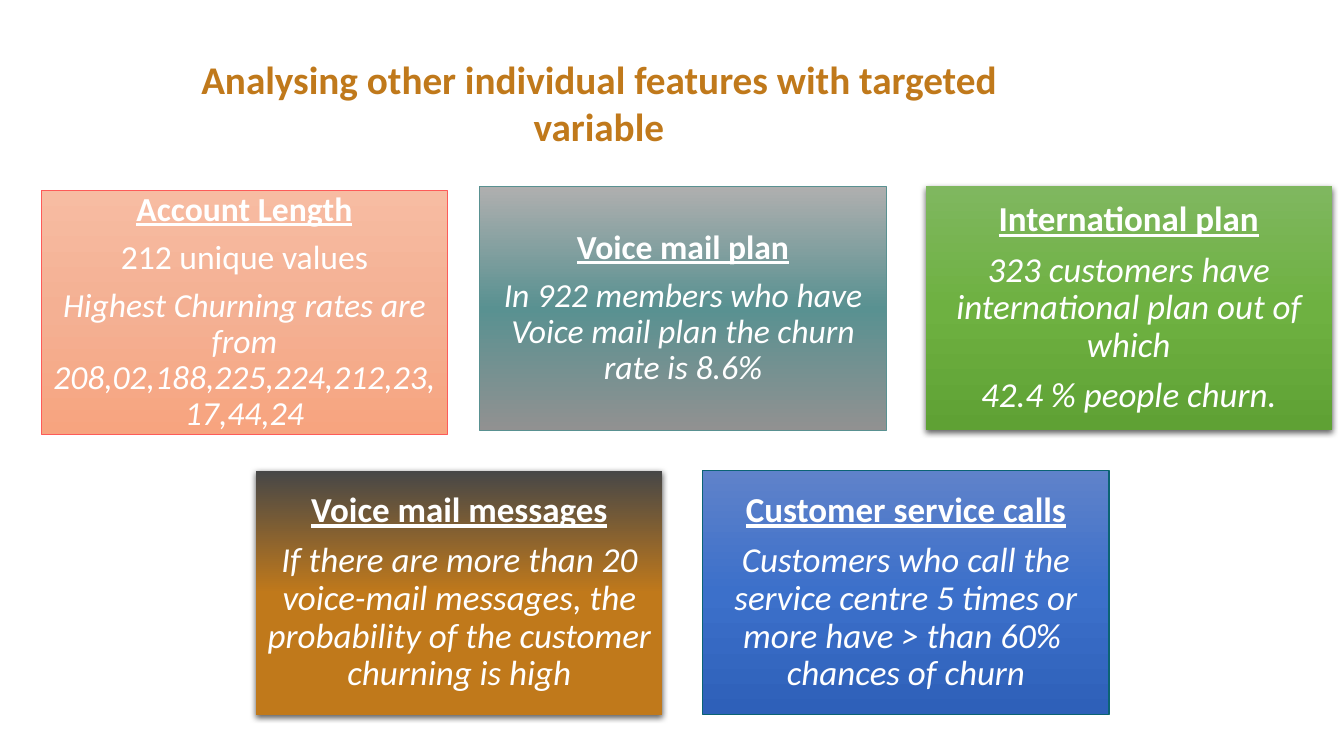
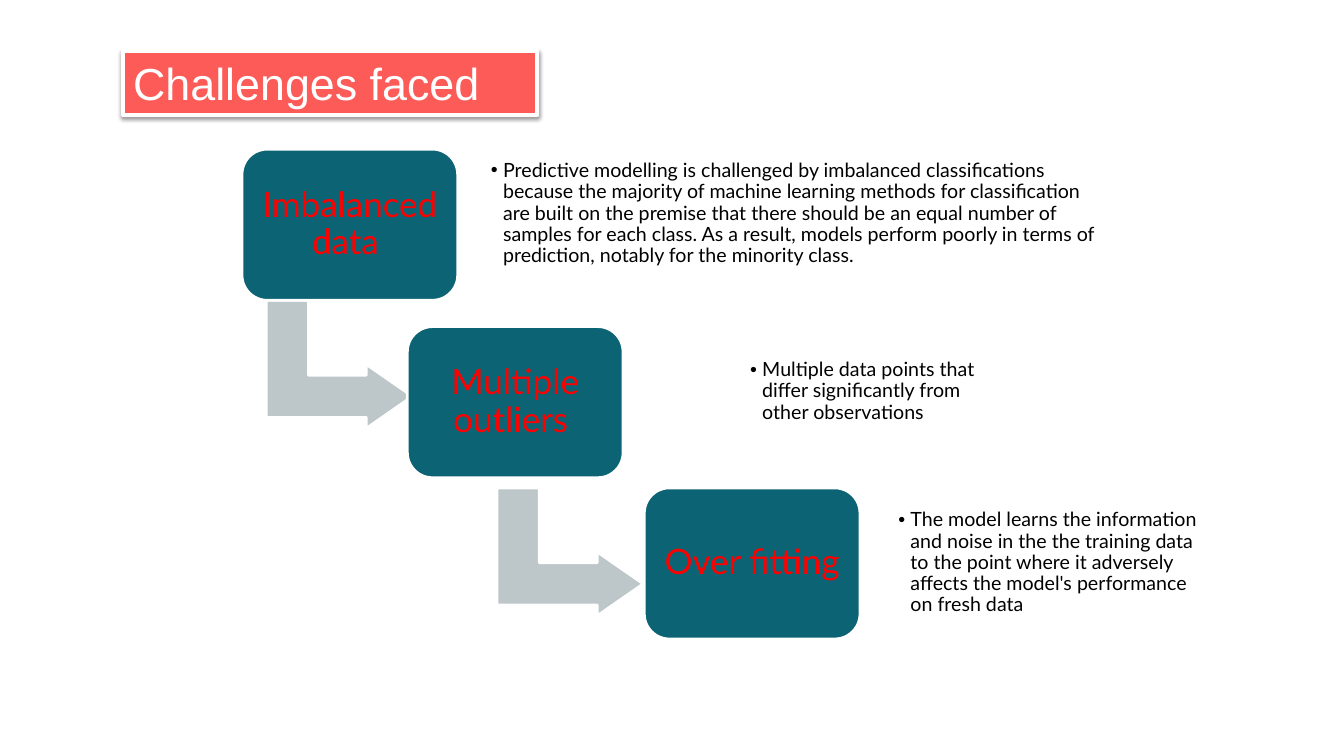
from lxml.etree import SubElement
from pptx import Presentation
from pptx.dml.color import RGBColor
from pptx.enum.shapes import MSO_SHAPE
from pptx.enum.text import MSO_ANCHOR, MSO_AUTO_SIZE, PP_ALIGN
from pptx.oxml.ns import qn
from pptx.util import Pt

PX = 9144  # 100 px to the inch
TITLE_ONLY = 5
COLORS = {
    "white": "FFFFFF", "black": "000000", "red": "FF0000", "coral": "FD5B58",
    "ochre": "C0791B", "teal": "0B6374", "sage": "599191", "grey": "BDC6C9",
}
CARD_SIZE = (403, 242)
STEP_SIZE = (214, 150)
ARROW_SIZE = (127, 145)

# left, top, gradient, outline (None gives a shadow), text size, heading,
# body paragraphs as (text, italic)
CARDS = [
    (41, 189, ("F7BCA2", "F4B093", "F7A47F"), "coral", 24, "Account Length",
     [("212 unique values", False),
      ("Highest Churning rates are from 208,02,188,225,224,212,23,17,44,24", True)]),
    (476, 185, ("AFAFAF", "599191", "919191"), "sage", 24, "Voice mail plan",
     [("In 922 members who have Voice mail plan the churn rate is 8.6%", True)]),
    (918, 185, ("7FB75F", "6EB141", "5FA134"), None, 25, "International plan",
     [("323 customers have international plan out of which", True),
      ("42.4 % people churn.", True)]),
    (254, 467, ("474747", "C0791B", "C0791B"), None, 25, "Voice mail messages",
     [("If there are more than 20 voice-mail messages, the probability of the "
       "customer churning is high", True)]),
    (697, 467, ("5F82CA", "3C70CA", "2E60B9"), "teal", 25, "Customer service calls",
     [("Customers who call the service centre 5 times or more have > than 60%  "
       "chances of churn", True)]),
]

# step position, step name, explanation box, explanation
CHALLENGES = [
    ((240, 148), "Imbalanced data ", (481, 104, 617, 216),
     "Predictive modelling is challenged by imbalanced classifications because the "
     "majority of machine learning methods for classification are built on the premise "
     "that there should be an equal number of samples for each class. As a result, "
     "models perform poorly in terms of prediction, notably for the minority class."),
    ((404, 324), "Multiple outliers ", (738, 328, 242, 121),
     "Multiple data points that differ significantly from other observations"),
    ((639, 484), "Over fitting ", (885, 498, 324, 121),
     "The model learns the information and noise in the the training data to the point "
     "where it adversely affects the model's performance on fresh data"),
]
ARROWS = [(273, 289), (502, 475)]


def px(*lengths):
    return [length * PX for length in lengths]


def rgb(name):
    return RGBColor.from_string(COLORS[name])


def set_frame(frame, anchor, inset_x, inset_y):
    frame.word_wrap = True
    frame.auto_size = MSO_AUTO_SIZE.NONE
    frame.vertical_anchor = anchor
    frame.margin_left = frame.margin_right = inset_x * PX
    frame.margin_top = frame.margin_bottom = inset_y * PX


def style_paragraph(paragraph, font_name, size, color, align,
                    bold=False, italic=False, underline=False):
    paragraph.alignment = align
    for run in paragraph.runs:
        font = run.font
        font.name, font.size = font_name, Pt(size)
        font.color.rgb = rgb(color)
        font.bold, font.italic, font.underline = bold, italic, underline


def set_outline(shape, color, width):
    shape.line.color.rgb = rgb(color)
    shape.line.width = Pt(width)


def set_solid(shape, color, line_width):
    shape.fill.solid()
    shape.fill.fore_color.rgb = rgb(color)
    set_outline(shape, "white", line_width)


def set_gradient(shape, stops):
    """Vertical gradient with evenly spaced stops."""
    shape.fill.gradient()
    shape.fill.gradient_angle = 270
    stop_list = shape.element.spPr.find(".//" + qn("a:gsLst"))
    stop_list.clear()
    for index, color in enumerate(stops):
        position = index * 100000 // (len(stops) - 1)
        stop = SubElement(stop_list, qn("a:gs"), pos=str(position))
        SubElement(stop, qn("a:srgbClr"), val=color)


def set_shadow(shape, opacity, blur, distance):
    """Soft black shadow straight below the shape."""
    shape.shadow.inherit = False
    effects = shape.element.spPr.find(qn("a:effectLst"))
    shadow = SubElement(effects, qn("a:outerShdw"), blurRad=str(Pt(blur)),
                        dist=str(Pt(distance)), dir="5400000", rotWithShape="0")
    color = SubElement(shadow, qn("a:srgbClr"), val=COLORS["black"])
    SubElement(color, qn("a:alpha"), val=str(opacity * 1000))


def set_bullet(paragraph, indent):
    properties = paragraph._p.get_or_add_pPr()
    properties.set("marL", str(indent * PX))
    properties.set("indent", str(-indent * PX))
    SubElement(properties, qn("a:buFont"), typeface="Arial")
    SubElement(properties, qn("a:buChar"), char="•")


def add_flat_shape(slide, kind, left, top, size):
    shape = slide.shapes.add_shape(kind, *px(left, top, *size))
    shape.shadow.inherit = False
    return shape


def add_titled_slide(prs, text, box, font_name, size, color, align, bold=False):
    slide = prs.slides.add_slide(prs.slide_layouts[TITLE_ONLY])
    title = slide.shapes.title
    title.left, title.top, title.width, title.height = px(*box)
    title.text_frame.text = text
    set_frame(title.text_frame, MSO_ANCHOR.TOP, 10, 5)
    style_paragraph(title.text_frame.paragraphs[0], font_name, size, color, align, bold)
    return slide


def add_card(slide, left, top, stops, outline, size, heading, body):
    card = add_flat_shape(slide, MSO_SHAPE.RECTANGLE, left, top, CARD_SIZE)
    set_gradient(card, stops)
    if outline:
        set_outline(card, outline, 0.75)
    else:
        card.line.fill.background()
        set_shadow(card, 62, 4.5, 1.5)
    frame = card.text_frame
    set_frame(frame, MSO_ANCHOR.MIDDLE, 10, 10)
    frame.text = "\n".join([heading] + [text for text, _ in body])
    italics = [False] + [italic for _, italic in body]
    for index, (paragraph, italic) in enumerate(zip(frame.paragraphs, italics)):
        is_heading = index == 0
        style_paragraph(paragraph, "Calibri", size, "white", PP_ALIGN.CENTER,
                        bold=is_heading, italic=italic, underline=is_heading)
        paragraph.line_spacing = 0.9
        if not is_heading:
            paragraph.space_before = Pt(round(size * 0.35, 1))


def add_arrow(slide, left, top):
    arrow = add_flat_shape(slide, MSO_SHAPE.BENT_UP_ARROW, left, top, ARROW_SIZE)
    arrow.rotation = 90
    for index, value in enumerate((0.33, 0.25, 0.36)):
        arrow.adjustments[index] = value
    set_solid(arrow, "grey", 2)


def add_step(slide, left, top, name):
    step = add_flat_shape(slide, MSO_SHAPE.ROUNDED_RECTANGLE, left, top, STEP_SIZE)
    set_solid(step, "teal", 2)
    set_frame(step.text_frame, MSO_ANCHOR.MIDDLE, 10, 10)
    step.text_frame.text = name
    paragraph = step.text_frame.paragraphs[0]
    style_paragraph(paragraph, "Lato", 25, "red", PP_ALIGN.CENTER)
    paragraph.line_spacing = 0.9


def add_explanation(slide, box, text):
    explanation = slide.shapes.add_textbox(*px(*box))
    set_frame(explanation.text_frame, MSO_ANCHOR.MIDDLE, 6, 6)
    explanation.text_frame.text = text
    paragraph = explanation.text_frame.paragraphs[0]
    style_paragraph(paragraph, "Lato", 14, "black", PP_ALIGN.LEFT)
    paragraph.line_spacing = 0.9
    set_bullet(paragraph, 12)


def build_features(prs):
    slide = add_titled_slide(
        prs, "Analysing other individual features with targeted variable",
        (140, 50, 908, 88), "Calibri", 28, "ochre", PP_ALIGN.CENTER, bold=True)
    for card in CARDS:
        add_card(slide, *card)


def build_challenges(prs):
    slide = add_titled_slide(prs, "Challenges faced", (122, 50, 411, 64),
                             "Arial", 32, "white", PP_ALIGN.LEFT)
    set_solid(slide.shapes.title, "coral", 3)
    set_shadow(slide.shapes.title, 38, 3.1, 1.6)
    # Arrows lie behind the steps
    for left, top in ARROWS:
        add_arrow(slide, left, top)
    for (left, top), name, box, text in CHALLENGES:
        add_step(slide, left, top, name)
        add_explanation(slide, box, text)


def main():
    prs = Presentation()
    prs.slide_width, prs.slide_height = px(1333, 750)
    build_features(prs)
    build_challenges(prs)
    prs.save("out.pptx")


if __name__ == "__main__":
    main()
